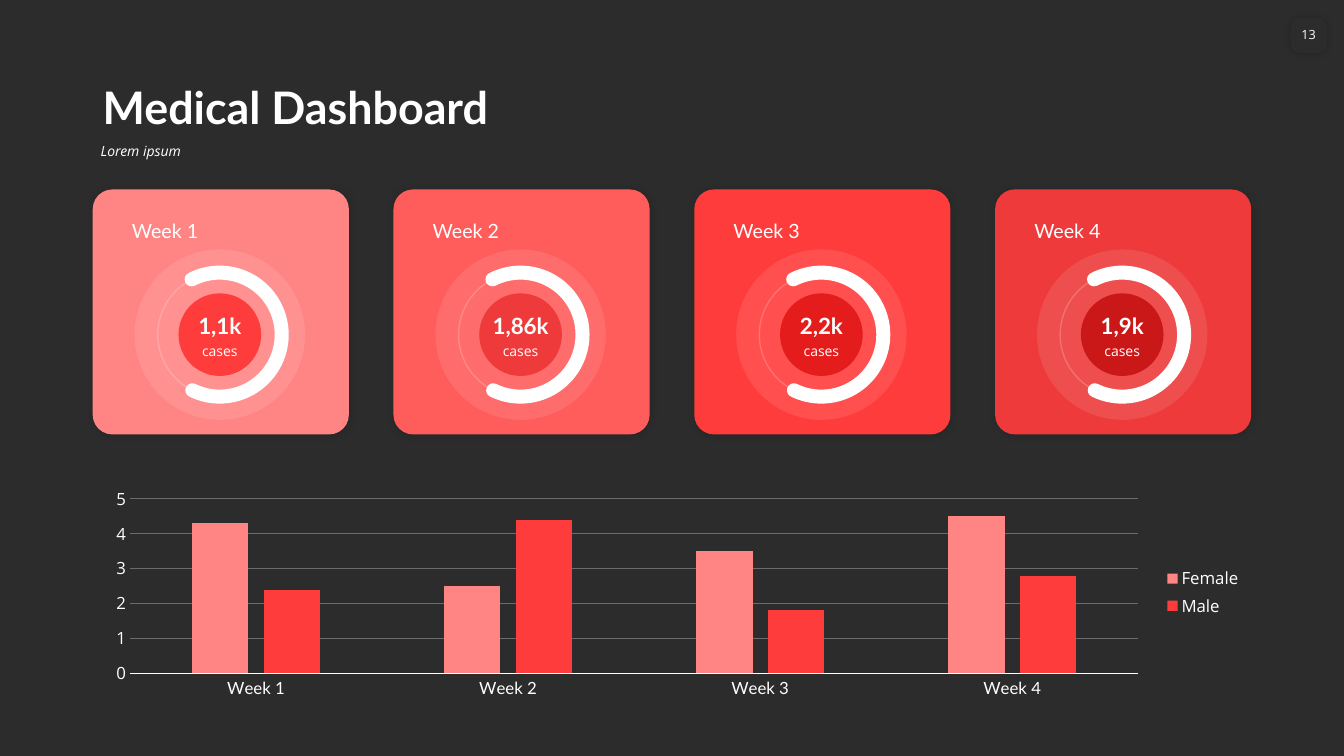
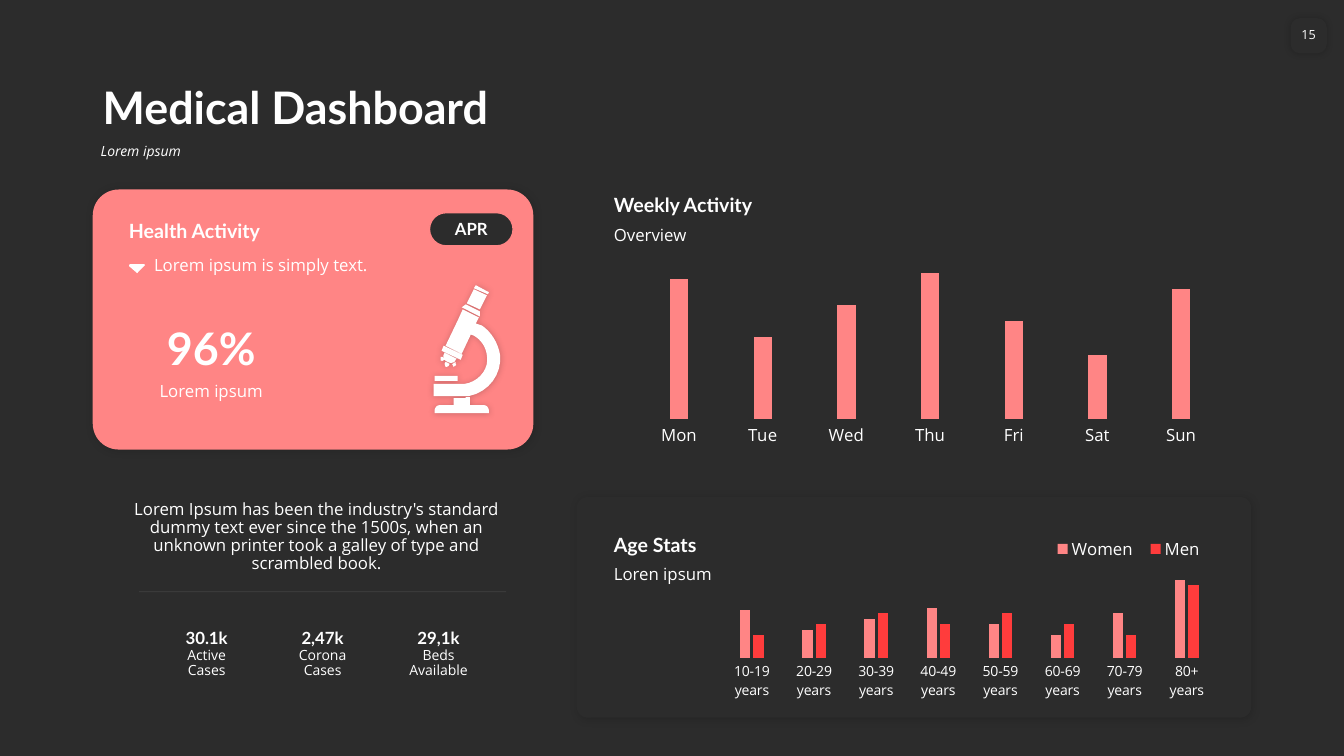
from lxml import etree
from pptx import Presentation
from pptx.chart.data import CategoryChartData
from pptx.dml.color import RGBColor
from pptx.enum.chart import XL_CHART_TYPE as CT, XL_LEGEND_POSITION as LP, XL_TICK_MARK as TM
from pptx.enum.shapes import MSO_CONNECTOR as MC, MSO_SHAPE as MS
from pptx.enum.text import MSO_ANCHOR as VA, MSO_AUTO_SIZE as FIT, PP_ALIGN as AL
from pptx.oxml.ns import qn
from pptx.util import Inches, Pt

COLORS = {
    "bg": "2C2C2C", "white": "FFFFFF", "black": "000000", "grid": "6B6B6B",
    "pink": "FF8585", "coral": "FF5C5C", "red": "FF3C3C",
    "crimson": "EE3A3A", "scarlet": "E41C1C", "dark": "CA1818",
}
HEAD, BODY = "Lato", "Open Sans"
# Text styles: font, size, bold, italic, line spacing
STYLES = {
    "title": (HEAD, 32, True, False, 0.9),
    "percent": (HEAD, 32, True, False, 1.0),
    "figure": (HEAD, 16, True, False, 1.0),
    "heading": (HEAD, 14, True, False, 1.0),
    "week": (HEAD, 14, False, False, 1.0),
    "strong": (HEAD, 12, True, False, 1.0),
    "body": (BODY, 12, False, False, 0.9),
    "small": (BODY, 10, False, False, 0.9),
    "subtitle": (BODY, 10, False, True, 0.9),
    "page": (BODY, 9, False, False, 0.9),
}
# Shadows: opacity %, blur pt, distance pt
CARD_SHADOW, SOFT_SHADOW = (15, 6, 1), (20, 5, 0)

# Outlines in inches: a pair is a corner, six numbers are a cubic curve
MARKER = [[(1.29, 2.62), (1.43, 2.62), (1.44, 2.63), (1.43, 2.64), (1.36, 2.71),
           (1.35, 2.7), (1.28, 2.64), (1.28, 2.63)]]
MICROSCOPE = [
    # foot
    [(4.66, 3.94), (4.66, 4.02), (4.8, 4.02), (4.83, 4.02, 4.85, 4.05, 4.85, 4.08),
     (4.85, 4.1), (4.31, 4.1), (4.31, 4.08), (4.31, 4.05, 4.33, 4.02, 4.36, 4.02),
     (4.5, 4.02), (4.5, 3.95), (4.62, 3.95), (4.62, 3.94)],
    # stage
    [(4.54, 3.73), (4.54, 3.78), (4.31, 3.78), (4.31, 3.73)],
    # lenses
    [(4.52, 3.59), (4.52, 3.61), (4.53, 3.62, 4.52, 3.63, 4.51, 3.63), (4.5, 3.64),
     (4.49, 3.62), (4.48, 3.61), (4.49, 3.61)],
    [(4.42, 3.59), (4.44, 3.6), (4.46, 3.61), (4.45, 3.63),
     (4.44, 3.64, 4.43, 3.64, 4.42, 3.64), (4.41, 3.61)],
    [(4.39, 3.54), (4.4, 3.56), (4.41, 3.57), (4.39, 3.58),
     (4.38, 3.58, 4.37, 3.58, 4.37, 3.57), (4.37, 3.54)],
    [(4.41, 3.5), (4.53, 3.56), (4.52, 3.57), (4.51, 3.6, 4.47, 3.61, 4.44, 3.59),
     (4.41, 3.58, 4.39, 3.55, 4.4, 3.52)],
    [(4.4, 3.43), (4.59, 3.52), (4.57, 3.57), (4.38, 3.48)],
    # arm and tube
    [(4.59, 3.07), (4.75, 3.15), (4.72, 3.21), (4.78, 3.23),
     (4.87, 3.29, 4.94, 3.4, 4.96, 3.52), (4.98, 3.71, 4.85, 3.89, 4.65, 3.93),
     (4.3, 3.93), (4.3, 3.81), (4.6, 3.81), (4.65, 3.8),
     (4.77, 3.76, 4.85, 3.65, 4.83, 3.53), (4.82, 3.44, 4.77, 3.37, 4.7, 3.33),
     (4.67, 3.32), (4.58, 3.51), (4.42, 3.43), (4.54, 3.18)],
    # eyepiece
    [(4.62, 3.02), (4.76, 3.09), (4.76, 3.14), (4.58, 3.05)],
    [(4.7, 2.87), (4.83, 2.93), (4.76, 3.07), (4.63, 3.01)],
    [(4.72, 2.83), (4.85, 2.9), (4.84, 2.92), (4.7, 2.86)],
]


def rgb(name):
    return RGBColor.from_string(COLORS[name])


def box(*lengths):
    return [Inches(v) for v in lengths]


def set_alpha(parent, percent):
    color = parent.find(".//" + qn("a:srgbClr"))
    etree.SubElement(color, qn("a:alpha")).set("val", str(percent * 1000))


def flatten(contour, steps=8):
    """Turn corners and cubic curves into points in EMU."""
    points = []
    for item in contour:
        if len(item) == 2:
            points.append(item)
            continue
        curve = [points[-1], item[:2], item[2:4], item[4:]]
        for i in range(1, steps + 1):
            t = i / steps
            weights = ((1 - t) ** 3, 3 * t * (1 - t) ** 2, 3 * t * t * (1 - t), t ** 3)
            points.append(tuple(sum(w * p[k] for w, p in zip(weights, curve)) for k in (0, 1)))
    return [box(*p) for p in points]


def manual_layout(frame, area, inner=False):
    """Build a chart layout placing area inside frame, both in inches."""
    layout = etree.Element(qn("c:layout"))
    manual = etree.SubElement(layout, qn("c:manualLayout"))
    values = [("layoutTarget", "inner")] if inner else []
    values += [("xMode", "edge"), ("yMode", "edge"),
               ("x", (area[0] - frame[0]) / frame[2]), ("y", (area[1] - frame[1]) / frame[3]),
               ("w", area[2] / frame[2]), ("h", area[3] / frame[3])]
    for tag, value in values:
        etree.SubElement(manual, qn("c:" + tag)).set("val", str(value))
    return layout


class Deck:
    def __init__(self):
        self.prs = Presentation()
        self.prs.slide_width, self.prs.slide_height = box(13.33, 7.5)
        fill = self.prs.slide_master.background.fill
        fill.solid()
        fill.fore_color.rgb = rgb("bg")
        self.s = None

    def slide(self, number, title, subtitle):
        self.s = self.prs.slides.add_slide(self.prs.slide_layouts[6])
        self.text((0.92, 0.58, 11.5, 0.8), [(title, "title")], anchor=VA.BOTTOM, grow=False)
        self.text((0.9, 1.38, 11.52, 0.36), [(subtitle, "subtitle")], grow=False)
        sp = self.shape(MS.ROUNDED_RECTANGLE, (12.8, 0.18, 0.36, 0.35), "bg",
                        adj=[0.27], shadow=SOFT_SHADOW)
        self.label(sp, number, "page")

    def fill_text(self, tf, lines, align):
        for i, (words, style) in enumerate(lines):
            p = tf.paragraphs[0] if i == 0 else tf.add_paragraph()
            p.text, p.alignment = words, align
            font = p.font
            font.name, size, font.bold, font.italic, p.line_spacing = STYLES[style]
            font.size = Pt(size)
            font.color.rgb = rgb("white")

    def text(self, at, lines, align=AL.LEFT, anchor=VA.TOP, grow=True):
        tf = self.s.shapes.add_textbox(*box(*at)).text_frame
        tf.word_wrap = True
        tf.auto_size = FIT.SHAPE_TO_FIT_TEXT if grow else FIT.NONE
        tf.vertical_anchor = anchor
        self.fill_text(tf, lines, align)

    def label(self, sp, words, style):
        tf = sp.text_frame
        tf.margin_left = tf.margin_right = tf.margin_top = tf.margin_bottom = 0
        tf.word_wrap, tf.vertical_anchor = False, VA.MIDDLE
        self.fill_text(tf, [(words, style)], AL.CENTER)

    def paint(self, sp, fill=None, alpha=None, line=None, shadow=None):
        """line is colour, width in points and, if wanted, opacity."""
        if fill:
            sp.fill.solid()
            sp.fill.fore_color.rgb = rgb(fill)
            if alpha:
                set_alpha(sp.element.spPr.find(qn("a:solidFill")), alpha)
        else:
            sp.fill.background()
        if line:
            self.stroke(sp, *line)
        else:
            sp.line.fill.background()
        sp.shadow.inherit = False
        if shadow:
            opacity, blur, distance = shadow
            effects = sp.element.spPr.find(qn("a:effectLst"))
            outer = etree.SubElement(effects, qn("a:outerShdw"), blurRad=str(Pt(blur)),
                                     dist=str(Pt(distance)), dir="2700000", rotWithShape="0")
            etree.SubElement(outer, qn("a:srgbClr"), val=COLORS["black"])
            set_alpha(outer, opacity)

    def stroke(self, sp, color, width, alpha=None):
        sp.line.color.rgb = rgb(color)
        sp.line.width = Pt(width)
        if alpha:
            set_alpha(sp.element.spPr.find(qn("a:ln")), alpha)

    def shape(self, kind, at, fill=None, adj=(), **paint):
        sp = self.s.shapes.add_shape(kind, *box(*at))
        for i, value in enumerate(adj):
            sp.adjustments[i] = value
        self.paint(sp, fill, **paint)
        return sp

    def disc(self, cx, cy, size, kind=MS.OVAL, **style):
        return self.shape(kind, (cx - size / 2, cy - size / 2, size, size), **style)

    def outline(self, contours, shadow=None):
        first, *others = [flatten(c) for c in contours]
        builder = self.s.shapes.build_freeform(*first[0], scale=1.0)
        builder.add_line_segments(first[1:], close=True)
        for points in others:
            builder.move_to(*points[0])
            builder.add_line_segments(points[1:], close=True)
        self.paint(builder.convert_to_shape(), "white", shadow=shadow)

    def rule(self, x1, y1, x2, y2):
        line = self.s.shapes.add_connector(MC.STRAIGHT, *box(x1, y1, x2, y2))
        self.stroke(line, "white", 0.5, 10)
        etree.SubElement(line.element.spPr, qn("a:effectLst"))

    def card(self, at, fill, radius):
        self.shape(MS.ROUNDED_RECTANGLE, at, fill, adj=[radius], shadow=CARD_SHADOW)

    def heading(self, x, y, w, title, subtitle):
        self.text((x, y, w, 0.34), [(title, "heading")], anchor=VA.BOTTOM)
        self.text((x, y + 0.34, w, 0.3), [(subtitle, "body")])

    def week_card(self, x, week, cases, fill, core):
        cx, cy = x + 1.26, 3.32
        self.card((x, 1.88, 2.54, 2.43), fill, 0.08)
        self.disc(cx, cy, 1.69, fill="white", alpha=10)
        self.disc(cx, cy, 1.23, line=("white", 1, 20))
        arc = self.disc(cx, cy, 1.23, MS.ARC, adj=[145.85, 69.71], line=("white", 10))
        arc.element.spPr.find(qn("a:ln")).set("cap", "rnd")
        self.disc(cx, cy, 0.82, fill=core)
        self.text((cx - 0.41, 3.04, 0.82, 0.37), [(cases, "figure")], AL.CENTER, VA.BOTTOM)
        self.text((cx - 0.41, 3.37, 0.82, 0.27), [("cases", "small")], AL.CENTER)
        self.text((x + 0.29, 2.12, 1.94, 0.34), [(week, "week")])

    def columns(self, at, plot, cats, series, gap, overlap, top,
                cat_font=(BODY, 12), scale=False, legend=None, legend_at=None):
        data = CategoryChartData()
        data.categories = cats
        for name, values, _ in series:
            data.add_series(name, values)
        chart = self.s.shapes.add_chart(CT.COLUMN_CLUSTERED, *box(*at), data).chart
        chart.has_title = False
        chart.font.name, chart.font.size = BODY, Pt(12)
        chart.font.color.rgb = rgb("white")
        bars = chart.plots[0]
        bars.gap_width, bars.overlap, bars.vary_by_categories = gap, overlap, False
        for bar, (_, _, color) in zip(bars.series, series):
            bar.format.fill.solid()
            bar.format.fill.fore_color.rgb = rgb(color)
        # Axes
        cat, val = chart.category_axis, chart.value_axis
        for axis in (cat, val):
            axis.major_tick_mark = axis.minor_tick_mark = TM.NONE
            axis.format.line.fill.background()
        font = cat.tick_labels.font
        font.name, font.size = cat_font[0], Pt(cat_font[1])
        font.color.rgb = rgb("white")
        val.minimum_scale, val.maximum_scale = 0, top
        val.has_major_gridlines = val.visible = scale
        if scale:
            val.major_unit = 1
            for line, color in ((cat.format.line, "white"),
                                (val.major_gridlines.format.line, "grid")):
                line.color.rgb = rgb(color)
                line.width = Pt(0.75)
        # Legend and plot position
        chart.has_legend = legend is not None
        if legend is not None:
            chart.legend.position = legend
            chart.legend.include_in_layout = False
        spots = [("c:plotArea", plot)] + ([("c:legend", legend_at)] if legend_at else [])
        for tag, area in spots:
            part = chart.element.find(".//" + qn(tag))
            for old in part.findall(qn("c:layout")):
                part.remove(old)
            is_plot = tag == "c:plotArea"
            part.insert(0 if is_plot else 1, manual_layout(at, area, is_plot))


def weeks_slide(deck):
    deck.slide("13", "Medical Dashboard", "Lorem ipsum")
    weeks = [f"Week {i}" for i in range(1, 5)]
    cards = [("1,1k", "pink", "red"), ("1,86k", "coral", "crimson"),
             ("2,2k", "red", "scarlet"), ("1,9k", "crimson", "dark")]
    pitch = (12.41 - 0.92 - 2.54) / 3
    for i, (week, card) in enumerate(zip(weeks, cards)):
        deck.week_card(0.92 + i * pitch, week, *card)
    deck.columns((0.92, 4.79, 11.5, 2.17), (1.29, 4.95, 10, 1.73), weeks,
                 [("Female", (4.3, 2.5, 3.5, 4.5), "pink"), ("Male", (2.4, 4.4, 1.8, 2.8), "red")],
                 219, -27, 5, cat_font=(HEAD, 12), scale=True, legend=LP.RIGHT)


def activity_slide(deck):
    deck.slide("15", "Medical Dashboard", "Lorem ipsum")
    # Health activity
    deck.card((0.92, 1.88, 4.37, 2.58), "pink", 0.1)
    deck.text((1.28, 3.12, 1.63, 0.64), [("96%", "percent")], AL.CENTER, VA.BOTTOM)
    deck.text((1.28, 3.75, 1.63, 0.3), [("Lorem ipsum", "body")], AL.CENTER)
    pill = deck.shape(MS.ROUNDED_RECTANGLE, (4.26, 2.11, 0.83, 0.33), "bg",
                      adj=[0.5], line=("pink", 1))
    deck.label(pill, "APR", "strong")
    deck.text((1.18, 2.11, 2.51, 0.34), [("Health Activity", "heading")], anchor=VA.BOTTOM)
    deck.text((1.43, 2.5, 3.67, 0.3), [("Lorem ipsum is simply text.", "body")])
    deck.outline(MARKER)
    deck.outline(MICROSCOPE, SOFT_SHADOW)
    # Weekly activity
    deck.heading(5.99, 1.86, 2.86, "Weekly Activity", "Overview")
    deck.columns((6.2, 2.5, 6.05, 1.96), (6.32, 2.71, 5.81, 1.45),
                 ["Mon", "Tue", "Wed", "Thu", "Fri", "Sat", "Sun"],
                 [("Series 1", (96, 56, 78, 100, 67, 44, 89), "pink")], 360, -30, 100)
    # Summary and key figures
    deck.text((1.03, 4.92, 4.22, 0.71),
              [("Lorem Ipsum has been the industry's standard dummy text ever since the 1500s, "
                "when an unknown printer took a galley of type and scrambled book.", "body")],
              AL.CENTER)
    deck.rule(1.38, 5.87, 5.02, 5.87)
    stats = [("30.1k", "Active", "Cases"), ("2,47k", "Corona Cases"), ("29,1k", "Beds Available")]
    for i, (figure, *names) in enumerate(stats):
        deck.text((1.55 + i * 1.15, 6.16, 1, 0.64),
                  [(figure, "strong")] + [(name, "small") for name in names],
                  AL.CENTER, VA.MIDDLE)
    # Age stats
    deck.card((5.72, 4.93, 6.69, 2.19), "bg", 0.05)
    ages = [f"{n}-{n + 9} years" for n in range(10, 80, 10)] + ["80+ years"]
    deck.columns((7.06, 5.23, 5.13, 1.75), (7.15, 5.75, 4.93, 0.78), ages,
                 [("Women", (61, 36, 50, 64, 43, 29, 57, 100), "pink"),
                  ("Men", (29, 43, 57, 43, 57, 43, 29, 93), "red")],
                 380, -30, 100, cat_font=(BODY, 10), legend=LP.TOP,
                 legend_at=(10.37, 5.32, 1.65, 0.25))
    deck.heading(5.99, 5.23, 2.2, "Age Stats", "Loren ipsum")


def main():
    deck = Deck()
    weeks_slide(deck)
    activity_slide(deck)
    deck.prs.save("out.pptx")


if __name__ == "__main__":
    main()
